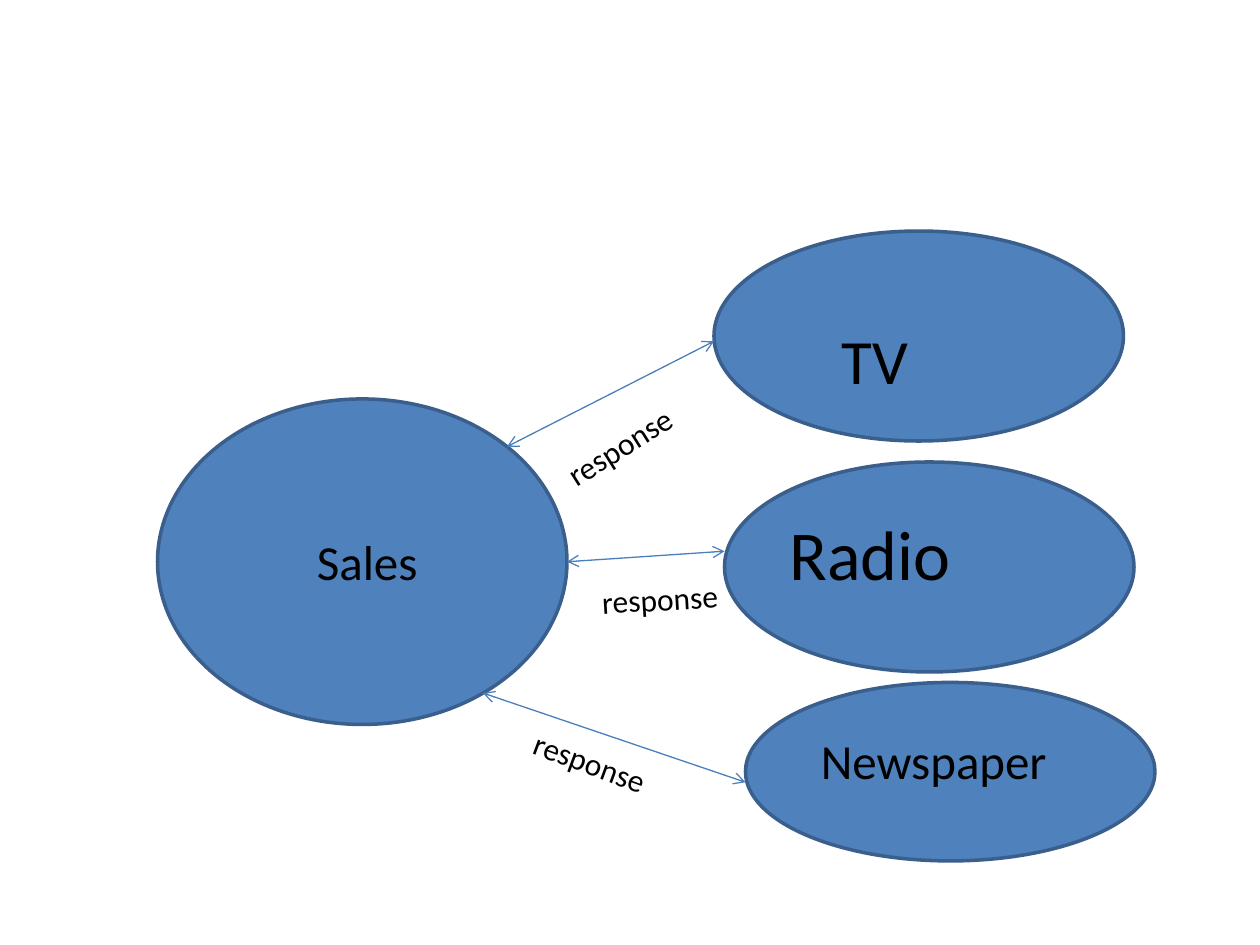
"""Build a slide that links sales to the response from three media."""
import lxml.etree
import pptx
import pptx.dml.color
import pptx.enum.shapes
import pptx.enum.text
import pptx.oxml.ns
import pptx.util

COLUMNS, ROWS = 120, 90


def color(value):
    """Turn a hex string into a colour."""
    return pptx.dml.color.RGBColor.from_string(value)


def write(frame, text, size=18, ink="000000", font="Calibri"):
    """Put one formatted paragraph into a text frame that grows with it."""
    frame.word_wrap = True
    frame.auto_size = pptx.enum.text.MSO_AUTO_SIZE.SHAPE_TO_FIT_TEXT
    span = frame.paragraphs[0].add_run()
    span.text = text
    span.font.name = font
    span.font.size = pptx.util.Pt(size)
    span.font.color.rgb = color(ink)


class Diagram:
    """Hold the style and the current slide, placed on a fine grid."""

    fill, outline, link = "4F81BD", "3A5F8C", "4B7EBC"

    def __init__(self, deck):
        """Add a blank slide to the deck."""
        self.column = deck.slide_width / COLUMNS
        self.row = deck.slide_height / ROWS
        self.page = deck.slides.add_slide(deck.slide_layouts[6])

    def place(self, *lengths):
        """Turn alternating columns and rows into slide lengths."""
        units = (self.column, self.row) * (len(lengths) // 2)
        return [round(length * unit) for length, unit in zip(lengths, units)]

    def ellipse(self, area):
        """Draw a filled ellipse."""
        shape = self.page.shapes.add_shape(
            pptx.enum.shapes.MSO_SHAPE.OVAL, *self.place(*area))
        shape.shadow.inherit = False
        shape.fill.solid()
        shape.fill.fore_color.rgb = color(self.fill)
        shape.line.color.rgb = color(self.outline)
        shape.line.width = pptx.util.Pt(2)

    def arrow(self, ends):
        """Draw a thin line with an open arrowhead at both ends."""
        line = self.page.shapes.add_connector(
            pptx.enum.shapes.MSO_CONNECTOR.STRAIGHT, *self.place(*ends))
        line.line.color.rgb = color(self.link)
        line.line.width = pptx.util.Pt(0.75)
        stroke = line.line._get_or_add_ln()
        for tag in ("a:headEnd", "a:tailEnd"):
            lxml.etree.SubElement(stroke, pptx.oxml.ns.qn(tag), type="arrow")
        lxml.etree.SubElement(
            line._element.spPr, pptx.oxml.ns.qn("a:effectLst"))

    def label(self, text, area, size=18, angle=0):
        """Add a text box, turned by an angle."""
        box = self.page.shapes.add_textbox(*self.place(*area))
        box.rotation = angle
        write(box.text_frame, text, size=size)


def main():
    """Build and save the deck."""
    deck = pptx.Presentation()
    deck.slide_width = pptx.util.Inches(10)
    deck.slide_height = pptx.util.Inches(7.5)
    diagram = Diagram(deck)

    for left, top, height in ((71, 65, 17), (69, 44, 20), (68, 22, 20), (15, 38, 31)):
        diagram.ellipse((left, top, 39, height))

    for ends in ((48.29, 42.54, 68, 32.5), (54, 53.5, 69, 52.5), (46, 66, 71, 74.5)):
        diagram.arrow(ends)

    names = (
        ("Sales", (29, 50, 13, 10.5), 28),
        ("TV", (79, 30, 22, 8.5), 36),
        ("Radio", (74, 48, 23, 9.25), 40),
        ("Newspaper", (77, 69, 26, 6.85), 28),
    )
    for text, area, size in names:
        diagram.label(text, area, size=size)

    for left, top, angle in (
            (52, 39.15, 327.87), (56.13, 54.5, 356.6), (49.35, 70.8, 20.4)):
        diagram.label("response", (left, top, 17, 4.85), angle=angle)

    deck.save("out.pptx")


if __name__ == "__main__":
    main()
